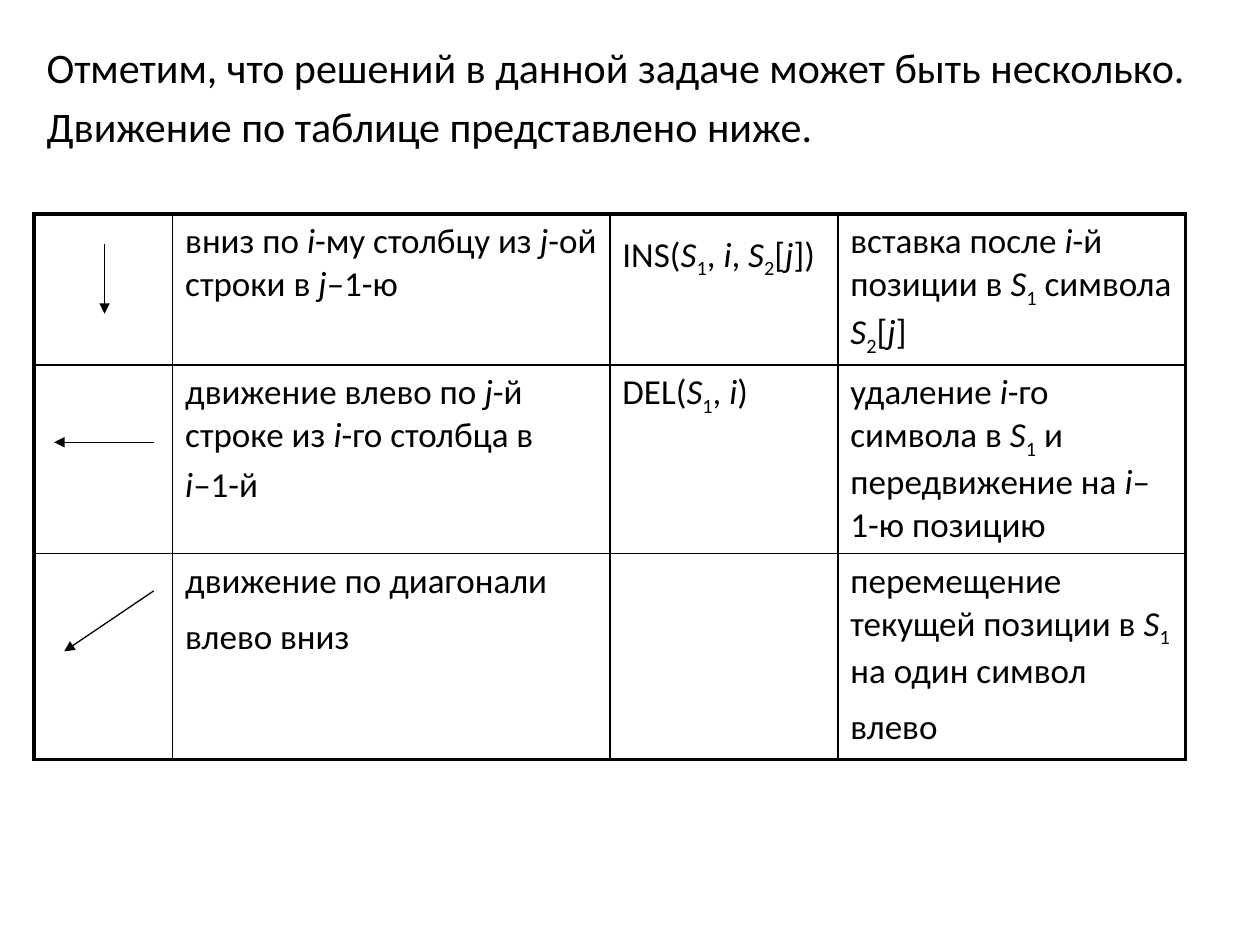
from lxml import etree
from pptx import Presentation
from pptx import util as u
from pptx.dml.color import RGBColor
from pptx.enum import shapes, text
from pptx.oxml import ns

BLACK = RGBColor(0, 0, 0)
FONT = "Calibri"
THIN, THICK = 1, 2.25

INTRO = [
    "Отметим, что решений в данной задаче может быть несколько.",
    "Движение по таблице представлено ниже.",
]
COLUMN_WIDTHS = [1.1, 3.47, 1.81, 2.76]
ROW_HEIGHTS = [1.03, 0.9, 0.9]

I, J = ("i", "italic"), ("j", "italic")
S1 = [("S", "italic"), ("1", "subscript")]
S2_J = [("S", "italic"), ("2", "subscript"), "[", J]
WIDE_SPACE = (" ", "large")

MOVES = [
    [
        [],
        [["вниз по ", I, "-му столбцу из ", J, "-ой строки в ", J, "–1-ю"]],
        [["INS(", *S1, ", ", I, ", ", *S2_J, "])", WIDE_SPACE]],
        [["вставка после ", I, "-й позиции в ", *S1, " символа ", *S2_J, "]"]],
    ],
    [
        [],
        [["движение влево по ", J, "-й строке из ", I, "-го столбца в"], [I, "–1-й"]],
        [["DEL(", *S1, ", ", I, ")"]],
        [["удаление ", I, "-го символа в ", *S1, " и передвижение на ", I, "–1-ю позицию"]],
    ],
    [
        [],
        [["движение по диагонали влево вниз", WIDE_SPACE]],
        [],
        [["перемещение текущей позиции в ", *S1, " на один символ влево", WIDE_SPACE]],
    ],
]
ARROWS = [
    ((0.56, 0.24), (0.56, 0.79)),
    ((0.95, 1.81), (0.16, 1.81)),
    ((0.95, 2.99), (0.24, 3.47)),
]


def add_run(paragraph, content, size):
    """Add one run, given as plain text or as a (text, style) pair."""
    words, style = (content, "plain") if isinstance(content, str) else content
    run = paragraph.add_run()
    run.text = words
    run.font.name = FONT
    run.font.size = u.Pt(28 if style == "large" else size)
    run.font.color.rgb = BLACK
    run.font.italic = style == "italic"
    if style == "subscript":
        run.font._element.set("baseline", "-25000")


def fill_text(frame, paragraphs, size, space_before):
    """Write paragraphs of runs into a text frame and return them."""
    for index, runs in enumerate(paragraphs):
        paragraph = frame.add_paragraph() if index else frame.paragraphs[0]
        paragraph.space_before = u.Pt(space_before if index else 0)
        for content in runs:
            add_run(paragraph, content, size)
    return frame.paragraphs


def place_intro(placeholder, left, top, width, height):
    """Place the introductory body text without bullets."""
    placeholder.left, placeholder.top = u.Inches(left), u.Inches(top)
    placeholder.width, placeholder.height = u.Inches(width), u.Inches(height)
    frame = placeholder.text_frame
    frame.word_wrap = True
    frame.auto_size = text.MSO_AUTO_SIZE.NONE
    for paragraph in fill_text(frame, [[line] for line in INTRO], 24, 4.8):
        properties = paragraph._p.get_or_add_pPr()
        properties.set("marL", str(u.Inches(0.38)))
        properties.set("indent", str(u.Inches(-0.38)))
        etree.SubElement(properties, ns.qn("a:buNone"))


def set_borders(cell, widths):
    """Draw the left, right, top and bottom borders of a cell."""
    properties = cell._tc.get_or_add_tcPr()
    for position, (side, width) in enumerate(zip("LRTB", widths)):
        line = etree.Element(ns.qn(f"a:ln{side}"), w=str(u.Pt(width)))
        fill = etree.SubElement(line, ns.qn("a:solidFill"))
        etree.SubElement(fill, ns.qn("a:srgbClr"), val=str(BLACK))
        properties.insert(position, line)


def add_moves_table(slide, left, top):
    """Add the table of moves with a thick frame and thin inner lines."""
    frame = slide.shapes.add_table(
        len(ROW_HEIGHTS), len(COLUMN_WIDTHS), u.Inches(left), u.Inches(top),
        u.Inches(sum(COLUMN_WIDTHS)), u.Inches(sum(ROW_HEIGHTS)))
    table = frame.table
    table.first_row = table.horz_banding = False
    for column, width in zip(table.columns, COLUMN_WIDTHS):
        column.width = u.Inches(width)
    for row, height in zip(table.rows, ROW_HEIGHTS):
        row.height = u.Inches(height)
    last_row, last_column = len(ROW_HEIGHTS) - 1, len(COLUMN_WIDTHS) - 1
    for row, contents in enumerate(MOVES):
        for column, paragraphs in enumerate(contents):
            cell = table.cell(row, column)
            cell.fill.background()
            fill_text(cell.text_frame, paragraphs, 20, 4)
            edges = (column == 0, column == last_column, row == 0, row == last_row)
            set_borders(cell, [THICK if edge else THIN for edge in edges])


def add_arrows(slide, left, top):
    """Add the direction arrows over the first table column."""
    for (start_x, start_y), (end_x, end_y) in ARROWS:
        arrow = slide.shapes.add_connector(
            shapes.MSO_CONNECTOR.STRAIGHT,
            u.Inches(left + start_x), u.Inches(top + start_y),
            u.Inches(left + end_x), u.Inches(top + end_y))
        arrow.line.color.rgb = BLACK
        arrow.line.width = u.Pt(0.75)
        etree.SubElement(arrow.line._get_or_add_ln(), ns.qn("a:tailEnd"), type="triangle")
        etree.SubElement(arrow._element.spPr, ns.qn("a:effectLst"))


def main():
    """Build and save the presentation."""
    presentation = Presentation()
    presentation.slide_width, presentation.slide_height = u.Inches(10), u.Inches(7.5)
    slide = presentation.slides.add_slide(presentation.slide_layouts[1])
    title = slide.shapes.title.element
    title.getparent().remove(title)
    place_intro(slide.placeholders[1], 0.27, 0.28, 9.29, 1.02)
    add_moves_table(slide, 0.27, 1.7)
    add_arrows(slide, 0.27, 1.7)
    presentation.save("out.pptx")


if __name__ == "__main__":
    main()
